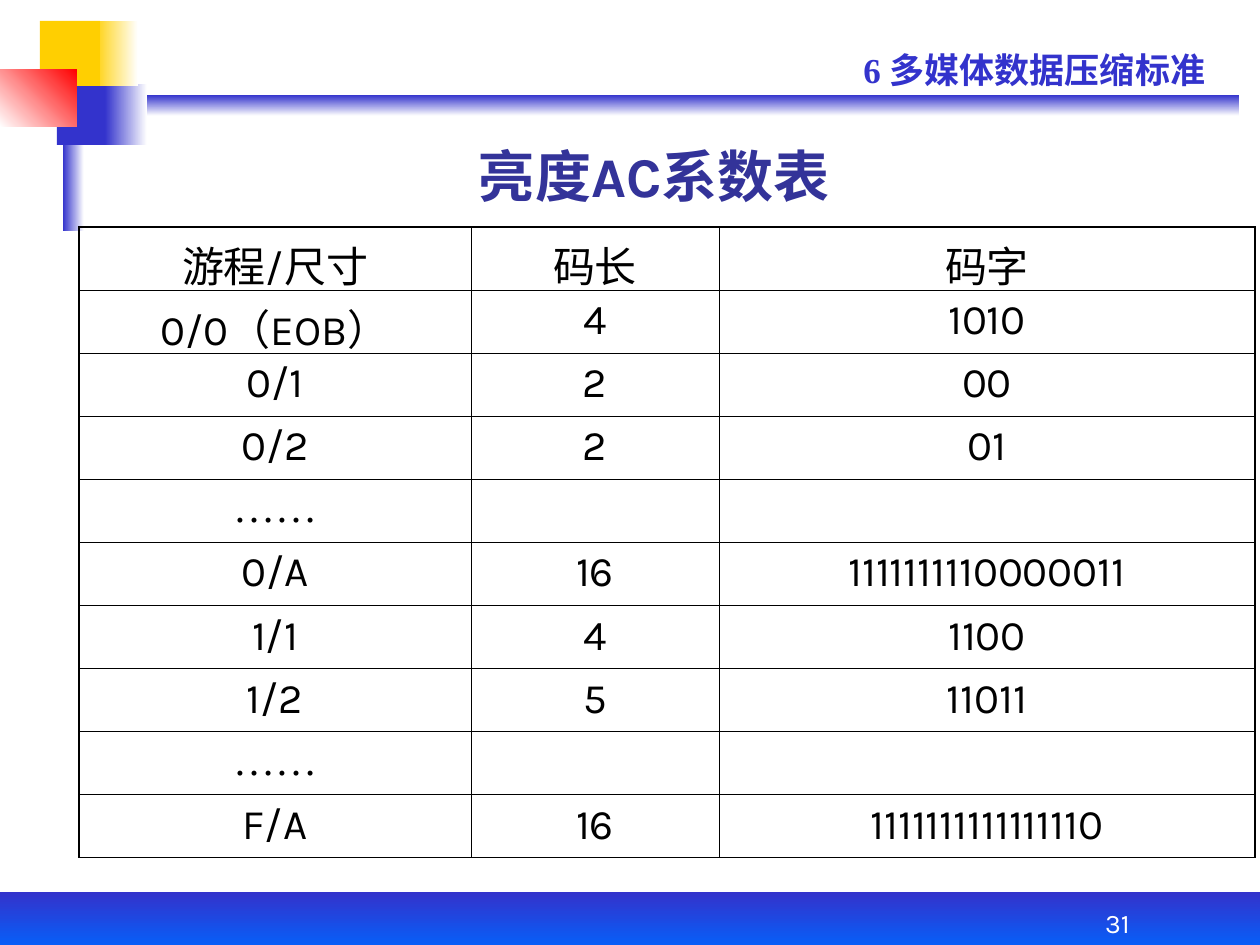
from lxml.etree import SubElement
from pptx import Presentation
from pptx.dml.color import RGBColor
from pptx.enum.shapes import MSO_SHAPE
from pptx.enum.text import MSO_ANCHOR, PP_ALIGN
from pptx.oxml.ns import qn
from pptx.util import Emu, Pt

PX = 914400 / 126
BLUE = RGBColor(0x33, 0x33, 0xCC)
BRIGHT_BLUE = RGBColor(0x00, 0x66, 0xFF)
INDIGO = RGBColor(0x33, 0x33, 0x99)
YELLOW = RGBColor(0xFF, 0xCF, 0x01)
RED = RGBColor(0xFF, 0x00, 0x00)
WHITE = RGBColor(0xFF, 0xFF, 0xFF)
BLACK = RGBColor(0x00, 0x00, 0x00)
SANS, SERIF = "Karla", "Times New Roman"
THIN, THICK = Pt(0.45), Pt(1.08)

COLUMN_WIDTHS = [392, 248, 536]
ROW_HEIGHT = 63
AC_CODES = [
    ("游程/尺寸", "码长", "码字"),
    ("0/0（EOB）", "4", "1010"),
    ("0/1", "2", "00"),
    ("0/2", "2", "01"),
    ("……", "", ""),
    ("0/A", "16", "1111111110000011"),
    ("1/1", "4", "1100"),
    ("1/2", "5", "11011"),
    ("……", "", ""),
    ("F/A", "16", "1111111111111110"),
]


def px(n):
    return Emu(round(n * PX))


def add_block(s, x, y, w, h, color, end=None, angle=0):
    """Rectangle in one colour, or a gradient to end; angle is counterclockwise."""
    sp = s.shapes.add_shape(MSO_SHAPE.RECTANGLE, px(x), px(y), px(w), px(h))
    sp.shadow.inherit = False
    sp.line.fill.background()
    if end is None:
        sp.fill.solid()
        sp.fill.fore_color.rgb = color
        return
    sp.fill.gradient()
    sp.fill.gradient_angle = angle
    for stop, position, stop_color in zip(sp.fill.gradient_stops, (0, 1), (color, end)):
        stop.position = position
        stop.color.rgb = stop_color


def add_run(p, text, size, font, color, bold=False):
    r = p.add_run()
    r.text = text
    r.font.size = Pt(size)
    r.font.name = font
    r.font.color.rgb = color
    r.font.bold = bold


def add_text(s, x, y, w, h, text, size, font, color, bold=False,
             align=PP_ALIGN.CENTER, anchor=MSO_ANCHOR.BOTTOM, inset=True):
    tf = s.shapes.add_textbox(px(x), px(y), px(w), px(h)).text_frame
    tf.word_wrap = True
    tf.vertical_anchor = anchor
    if not inset:
        tf.margin_left = tf.margin_top = tf.margin_right = tf.margin_bottom = 0
    p = tf.paragraphs[0]
    p.alignment = align
    add_run(p, text, size, font, color, bold)


def add_header(s, x, y):
    """Coloured squares, header rule and chapter name."""
    add_block(s, x + 73, y + 95, 1166, 21, BLUE, WHITE, 270)
    add_block(s, x + 105, y + 84, 42, 61, BLUE, WHITE)
    add_block(s, x + 63, y + 73, 21, 158, BLUE, WHITE)
    add_block(s, x + 57, y + 84, 48, 61, BLUE)
    add_block(s, x + 93, y + 21, 45, 65, YELLOW, WHITE)
    add_block(s, x + 40, y + 21, 60, 65, YELLOW)
    add_block(s, x, y + 69, 77, 58, WHITE, RED, 45)
    add_text(s, x + 851, y + 42, 378, 55, "6 多媒体数据压缩标准", 20, SERIF, BLUE,
             bold=True, align=PP_ALIGN.LEFT, anchor=MSO_ANCHOR.TOP)


def add_footer(s, x, y):
    add_block(s, x, y, 1260, 63, BLUE, BRIGHT_BLUE, 270)
    add_text(s, x + 1018, y, 199, 53, "31", 15.3, SANS, WHITE)


def set_borders(cell, widths):
    """Black borders, widths keyed by side in the order L, R, T, B."""
    tcPr = cell._tc.get_or_add_tcPr()
    for i, (side, width) in enumerate(widths.items()):
        ln = SubElement(tcPr, qn(f"a:ln{side}"), w=str(int(width)))
        fill = SubElement(ln, qn("a:solidFill"))
        SubElement(fill, qn("a:srgbClr"), val=str(BLACK))
        tcPr.insert(i, ln)


def add_code_table(s, x, y):
    rows, cols = len(AC_CODES), len(COLUMN_WIDTHS)
    table = s.shapes.add_table(rows, cols, px(x), px(y), px(sum(COLUMN_WIDTHS)),
                               px(rows * ROW_HEIGHT)).table
    table.first_row = table.horz_banding = False
    for column, width in zip(table.columns, COLUMN_WIDTHS):
        column.width = px(width)
    for i, texts in enumerate(AC_CODES):
        table.rows[i].height = px(ROW_HEIGHT)
        for j, text in enumerate(texts):
            cell = table.cell(i, j)
            cell.fill.background()
            set_borders(cell, {
                "L": THICK if j == 0 else THIN,
                "R": THICK if j == cols - 1 else THIN,
                "T": THICK if i == 0 else THIN,
                "B": THICK if i == rows - 1 else THIN,
            })
            if text:
                p = cell.text_frame.paragraphs[0]
                p.alignment = PP_ALIGN.CENTER
                add_run(p, text, 24, SERIF if text == "……" else SANS, BLACK)


def main():
    prs = Presentation()
    prs.slide_width, prs.slide_height = px(1260), px(945)
    s = prs.slides.add_slide(prs.slide_layouts[6])
    add_header(s, 0, 0)
    add_footer(s, 0, 892)
    add_text(s, 441, 125, 427, 84, "亮度AC系数表", 32, SANS, INDIGO, bold=True, inset=False)
    add_code_table(s, 79, 227)
    prs.save("out.pptx")


if __name__ == "__main__":
    main()
